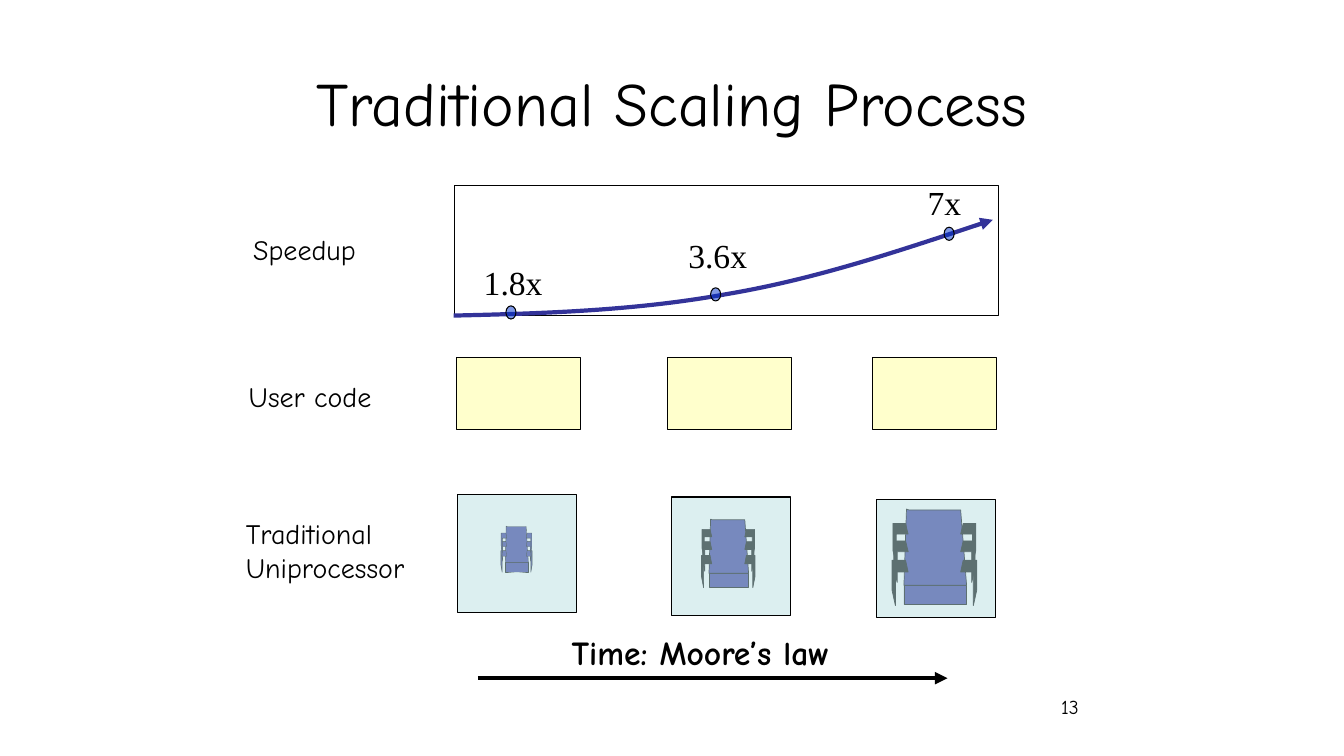
from lxml import etree
from pptx import Presentation
from pptx.dml.color import RGBColor
from pptx.enum import shapes, text
from pptx.oxml.ns import qn
from pptx.util import Pt

BLACK = RGBColor(0x00, 0x00, 0x00)
WHITE = RGBColor(0xFF, 0xFF, 0xFF)
CODE_YELLOW = RGBColor(0xFF, 0xFF, 0xCC)
TILE_TEAL = RGBColor(0xBB, 0xE0, 0xE3)
INDIGO = RGBColor(0x33, 0x33, 0x99)
DOT_BLUE = RGBColor(0x00, 0x33, 0xCC)

HAND = "Comic Neue"
SERIF = "Times New Roman"
RECT = shapes.MSO_SHAPE.RECTANGLE
OVAL = shapes.MSO_SHAPE.OVAL
LEFT, CENTER, RIGHT = text.PP_ALIGN.LEFT, text.PP_ALIGN.CENTER, text.PP_ALIGN.RIGHT


def style(shape, fill, line_width, opacity=100):
    shape.shadow.inherit = False
    shape.fill.solid()
    shape.fill.fore_color.rgb = fill
    if opacity < 100:
        color = shape._element.spPr.find(".//" + qn("a:srgbClr"))
        etree.SubElement(color, qn("a:alpha"), val=str(opacity * 1000))
    shape.line.color.rgb = BLACK
    shape.line.width = Pt(line_width)


def add_preset(parent, kind, box, fill, line_width=0.75, opacity=100):
    shape = parent.shapes.add_shape(kind, *map(Pt, box))
    style(shape, fill, line_width, opacity)


def outline(parent, points, close):
    start, *rest = [(Pt(x), Pt(y)) for x, y in points]
    builder = parent.shapes.build_freeform(*start, scale=1.0)
    builder.add_line_segments(rest, close=close)
    shape = builder.convert_to_shape()
    shape.shadow.inherit = False
    return shape


def add_text(page, box, words, size, align=CENTER, font=HAND, bold=False, wrap=False):
    frame = page.shapes.add_textbox(*map(Pt, box)).text_frame
    frame.word_wrap = wrap
    frame.text = words
    for para in frame.paragraphs:
        para.alignment = align
        for span in para.runs:
            span.font.name = font
            span.font.size = Pt(size)
            span.font.bold = bold
            span.font.color.rgb = BLACK
    return frame


def style_arrow(shape, color):
    shape.line.color.rgb = color
    shape.line.width = Pt(3)
    line = shape._element.spPr.find(qn("a:ln"))
    etree.SubElement(line, qn("a:tailEnd"), type="triangle")


def curve_segments(shape):
    lines = list(shape._element.iter(qn("a:lnTo")))
    for first in range(0, len(lines), 3):
        trio = lines[first:first + 3]
        curve = etree.Element(qn("a:cubicBezTo"))
        trio[0].addprevious(curve)
        for segment in trio:
            curve.append(segment[0])
            segment.getparent().remove(segment)


def speedup_chart(page, box):
    left, top, _, _ = box
    add_preset(page, RECT, box, WHITE, opacity=50)
    knots = [(-0.7, 92.9), (64.1, 91.4), (129.6, 89.3), (193.7, 77.7),
             (257.8, 66.9), (321.1, 45.4), (384.5, 24.5)]
    curve = outline(page, [(left + x, top + y) for x, y in knots], False)
    curve_segments(curve)
    curve.fill.background()
    style_arrow(curve, INDIGO)
    for words, x, y, label_x, label_y in [("1.8x", 40.3, 90.7, 41.8, 51.1),
                                          ("3.6x", 186.5, 77.8, 187.9, 31.7),
                                          ("7x", 353.3, 34.5, 349.9, -5.8)]:
        add_preset(page, OVAL, (left + x - 3.6, top + y - 4.7, 7.2, 9.4), DOT_BLUE, opacity=50)
        add_text(page, (left + label_x - 35, top + label_y, 70, 36), words, 24, font=SERIF)


def code_row(page, box):
    left, top, width, height = box
    for offset in (0, 150.4, 297):
        add_preset(page, RECT, (left + offset, top, width, height), CODE_YELLOW)


def chip(page, box, leg_fill, line_width):
    left, top, width, height = box
    group = page.shapes.add_group_shape()

    def part(points, fill):
        shape = outline(group, [(left + x * width, top + y * height) for x, y in points], True)
        style(shape, fill, line_width)

    add_preset(group, RECT, (left + 0.14 * width, top + 0.79 * height,
                             0.74 * width, 0.2 * height), INDIGO, line_width)
    part([(0.2, 0.01), (0.81, 0.01), (0.88, 0.79), (0.14, 0.79), (0.17, 0)], INDIGO)
    for hip, reach, length in [(0.53, 1, 0.47), (0.33, 0.98, 0.43), (0.15, 0.99, 0.42)]:
        ankle, knee = reach - 0.04, hip + 0.26 * length
        leg = [(0.84, hip), (reach, hip), (reach, hip + 0.66 * length),
               (ankle, hip + length), (ankle, knee), (0.81, knee)]
        part(leg, leg_fill)
        part([(1 - x, y) for x, y in leg], leg_fill)


def processor_tile(page, box, chip_box, leg_fill, line_width):
    left, top, _, _ = box
    x, y, width, height = chip_box
    chip(page, (left + x, top + y, width, height), leg_fill, line_width)
    add_preset(page, RECT, box, TILE_TEAL, opacity=50)


def timeline(page, box):
    left, top, width, height = box
    add_text(page, (left + 46, top, 226, 36), "Time: Moore’s law", 24, bold=True)
    arrow = page.shapes.add_connector(shapes.MSO_CONNECTOR.STRAIGHT, Pt(left), Pt(top + height),
                                      Pt(left + width), Pt(top + height))
    style_arrow(arrow, BLACK)
    etree.SubElement(arrow._element.spPr, qn("a:effectLst"))


def scaling_slide(page):
    title = add_text(page, (174, 27.5, 612, 90), "Traditional Scaling Process", 44, wrap=True)
    title.vertical_anchor = text.MSO_ANCHOR.MIDDLE
    add_text(page, (170.3, 162.7, 94.3, 31), "Speedup", 20)
    add_text(page, (166.8, 267.8, 109.4, 31), "User code", 20)
    add_text(page, (168.5, 365.4, 144.7, 55.4), "Traditional\nUniprocessor", 20, LEFT, wrap=True)
    speedup_chart(page, (324.7, 132.5, 388.8, 92.9))
    code_row(page, (326.2, 255.6, 88.6, 51.1))
    for left, top, chip_box, leg_fill, line_width in [
            (326.9, 353.2, (30.9, 22.6, 22.3, 33), INDIGO, 0.25),
            (479.4, 355, (21.7, 15.8, 38.2, 49), BLACK, 0.5),
            (626.4, 356.8, (10.8, 6.8, 60.5, 69), BLACK, 0.5)]:
        processor_tile(page, (left, top, 85, 84.5), chip_box, leg_fill, line_width)
    timeline(page, (341.3, 447.8, 335.5, 36.6))
    add_text(page, (627.8, 492.5, 149.8, 36), "13", 14, RIGHT, wrap=True)


def main():
    deck = Presentation()
    deck.slide_width, deck.slide_height = Pt(960), Pt(540)
    scaling_slide(deck.slides.add_slide(deck.slide_layouts[6]))
    deck.save("out.pptx")


if __name__ == "__main__":
    main()
